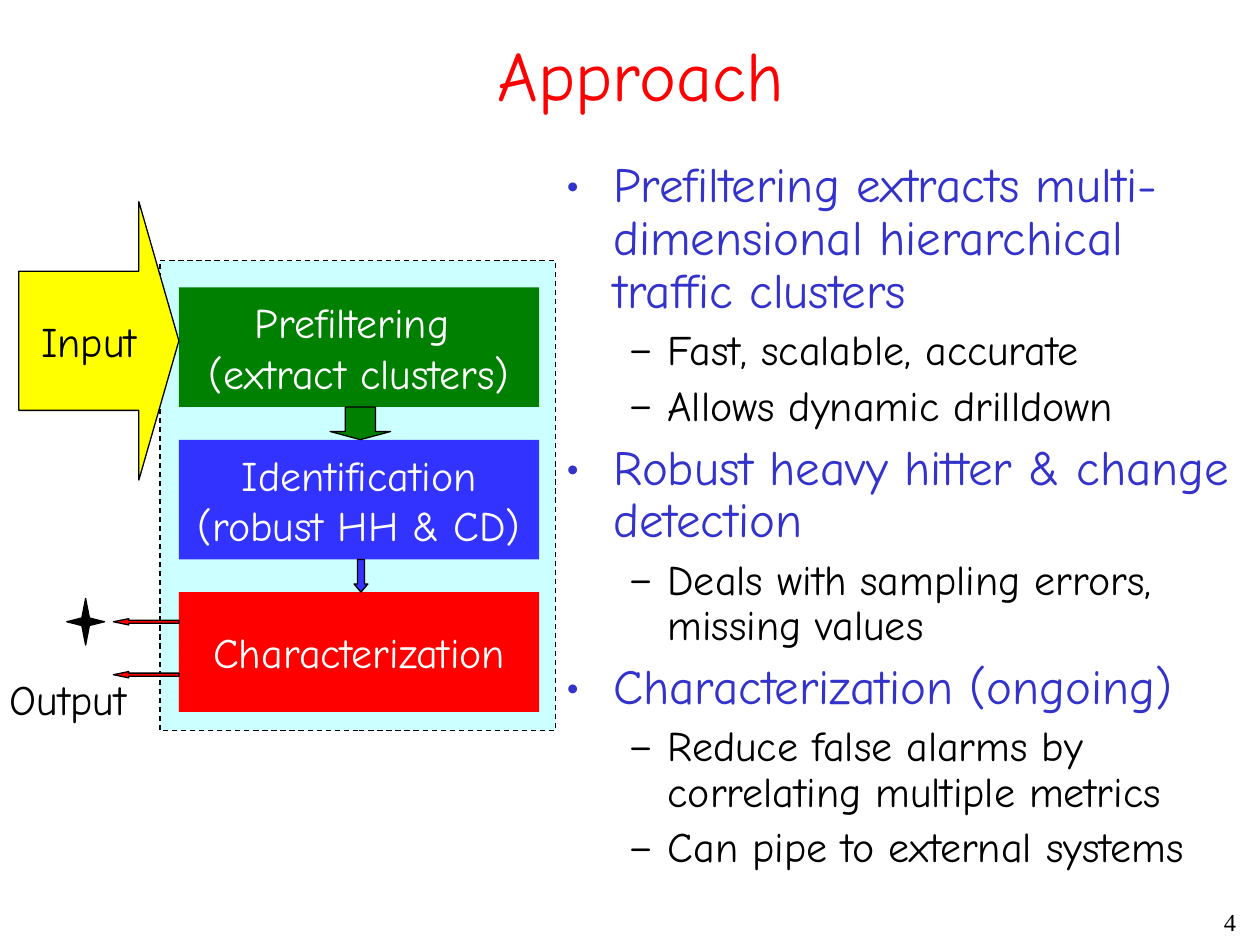
from dataclasses import dataclass
from typing import NamedTuple, Optional

from lxml.etree import SubElement
from pptx import Presentation
from pptx.dml.color import RGBColor
from pptx.enum.dml import MSO_LINE
from pptx.enum.shapes import MSO_SHAPE
from pptx.enum.text import MSO_ANCHOR, PP_ALIGN
from pptx.oxml.ns import qn
from pptx.util import Inches, Pt


@dataclass(frozen=True)
class Theme:
    font: str = "Comic Neue"
    number_font: str = "Times New Roman"
    title_size: int = 40
    point_size: int = 28
    text_size: int = 24
    number_size: int = 14
    outline: float = 0.75
    black: str = "000000"
    white: str = "FFFFFF"
    red: str = "FF0000"
    green: str = "008000"
    blue: str = "3333FF"
    yellow: str = "FFFF00"
    pale: str = "CCFFFF"
    point: str = "3333CC"


THEME = Theme()


class Area(NamedTuple):
    left: float
    top: float
    width: float
    height: float


class Stage(NamedTuple):
    label: str
    fill: str


class Level(NamedTuple):
    bullet: str
    margin: float
    hanging: float
    size: int
    color: str
    space_before: int


class Item(NamedTuple):
    text: str
    level: Level


class Arrow(NamedTuple):
    kind: MSO_SHAPE
    area: Area
    fill: str
    head: float
    label: str = ""


POINT = Level("•", 0.38, 0.38, THEME.point_size, THEME.point, 7)
DETAIL = Level("–", 0.81, 0.31, THEME.text_size, THEME.black, 6)
ITEMS = [
    Item("Prefiltering extracts multi-dimensional hierarchical traffic clusters", POINT),
    Item("Fast, scalable, accurate", DETAIL),
    Item("Allows dynamic drilldown", DETAIL),
    Item("Robust heavy hitter & change detection", POINT),
    Item("Deals with sampling errors, missing values", DETAIL),
    Item("Characterization (ongoing)", POINT),
    Item("Reduce false alarms by correlating multiple metrics", DETAIL),
    Item("Can pipe to external systems", DETAIL),
]

STAGES = [
    Stage("Prefiltering \v(extract clusters)", THEME.green),
    Stage("Identification\v(robust HH & CD)", THEME.blue),
    Stage("Characterization", THEME.red),
]
FIRST_STAGE = Area(1.42, 2.28, 2.86, 0.95)
STAGE_STEP = 1.21

ARROWS = [
    Arrow(MSO_SHAPE.DOWN_ARROW, Area(2.62, 3.23, 0.48, 0.26), THEME.green, 0.25),
    Arrow(MSO_SHAPE.DOWN_ARROW, Area(2.81, 4.44, 0.11, 0.26), THEME.blue, 0.59),
    Arrow(MSO_SHAPE.RIGHT_ARROW, Area(0.15, 1.6, 1.27, 2.21), THEME.yellow, 0.25, "Input"),
    *(
        Arrow(MSO_SHAPE.LEFT_ARROW, Area(0.9, top, 0.52, 0.05), THEME.red, 2.45)
        for top in (4.91, 5.33)
    ),
]


def write(paragraph, text: str, *, size: int = THEME.text_size,
          color: str = THEME.black, font: str = THEME.font,
          align: Optional[PP_ALIGN] = None) -> None:
    """Fill a paragraph with text in one format; a vertical tab breaks the line."""
    paragraph.text = text
    paragraph.alignment = align
    for span in paragraph.runs:
        span.font.name = font
        span.font.size = Pt(size)
        span.font.color.rgb = RGBColor.from_string(color)


def add_box(slide, area: Area, *, wrap: bool = True, anchor: MSO_ANCHOR = MSO_ANCHOR.TOP):
    """Add an empty text box and return its text frame."""
    frame = slide.shapes.add_textbox(*map(Inches, area)).text_frame
    frame.word_wrap = wrap
    frame.vertical_anchor = anchor
    return frame


def paint(shape, fill: str, outlined: bool = True) -> None:
    shape.shadow.inherit = False
    shape.fill.solid()
    shape.fill.fore_color.rgb = RGBColor.from_string(fill)
    if outlined:
        shape.line.color.rgb = RGBColor.from_string(THEME.black)
        shape.line.width = Pt(THEME.outline)
    else:
        shape.line.fill.background()


def add_block(slide, kind: MSO_SHAPE, area: Area, fill: str, *, outlined: bool = True,
              label: str = "", color: str = THEME.black):
    shape = slide.shapes.add_shape(kind, *map(Inches, area))
    paint(shape, fill, outlined)
    if label:
        frame = shape.text_frame
        frame.word_wrap = False
        frame.vertical_anchor = MSO_ANCHOR.MIDDLE
        write(frame.paragraphs[0], label, color=color, align=PP_ALIGN.CENTER)
    return shape


def add_arrow(slide, arrow: Arrow) -> None:
    shape = add_block(slide, arrow.kind, arrow.area, arrow.fill, label=arrow.label)
    shape.adjustments[0] = 0.5
    shape.adjustments[1] = arrow.head


def add_star(slide, area: Area, waist: float) -> None:
    """Draw a four-pointed star whose inner corners lie waist from its centre."""
    x, y = area.left + area.width / 2, area.top + area.height / 2
    reach_x, reach_y = area.width / 2, area.height / 2
    offsets = [(-reach_x, 0), (-waist, -waist), (0, -reach_y), (waist, -waist),
               (reach_x, 0), (waist, waist), (0, reach_y), (-waist, waist)]
    corners = [(Inches(x + dx), Inches(y + dy)) for dx, dy in offsets]
    builder = slide.shapes.build_freeform(*corners[0])
    builder.add_line_segments(corners[1:], close=True)
    paint(builder.convert_to_shape(), THEME.black)


def add_bullet(paragraph, level: Level) -> None:
    properties = paragraph._p.get_or_add_pPr()
    properties.set("marL", str(Inches(level.margin)))
    properties.set("indent", str(-Inches(level.hanging)))
    SubElement(properties, qn("a:buFont"), typeface=THEME.font)
    SubElement(properties, qn("a:buChar"), char=level.bullet)


def add_items(slide, area: Area, items: list[Item]) -> None:
    frame = add_box(slide, area)
    for index, (text, level) in enumerate(items):
        paragraph = frame.paragraphs[0] if index == 0 else frame.add_paragraph()
        add_bullet(paragraph, level)
        paragraph.level = int(level is DETAIL)
        paragraph.line_spacing = 0.9
        paragraph.space_before = Pt(level.space_before if index else 0)
        write(paragraph, text, size=level.size, color=level.color)


def add_diagram(slide) -> None:
    add_star(slide, Area(0.53, 4.75, 0.3, 0.37), 0.03)
    panel = add_block(slide, MSO_SHAPE.RECTANGLE, Area(1.27, 2.07, 3.14, 3.73), THEME.pale)
    panel.line.dash_style = MSO_LINE.DASH
    for index, stage in enumerate(STAGES):
        area = FIRST_STAGE._replace(top=FIRST_STAGE.top + index * STAGE_STEP)
        add_block(slide, MSO_SHAPE.RECTANGLE, area, stage.fill, outlined=False,
                  label=stage.label, color=THEME.white)
    for arrow in ARROWS:
        add_arrow(slide, arrow)
    output = add_box(slide, Area(-0.02, 5.3, 1.12, 0.5), wrap=False)
    write(output.paragraphs[0], "Output", align=PP_ALIGN.RIGHT)


def main() -> None:
    deck = Presentation()
    deck.slide_width, deck.slide_height = Inches(10), Inches(7.5)
    slide = deck.slides.add_slide(deck.slide_layouts[6])
    title = add_box(slide, Area(0.75, 0.17, 8.67, 0.83), anchor=MSO_ANCHOR.MIDDLE)
    write(title.paragraphs[0], "Approach", size=THEME.title_size, color=THEME.red,
          align=PP_ALIGN.CENTER)
    add_items(slide, Area(4.39, 1.22, 5.68, 5.89), ITEMS)
    add_diagram(slide)
    number = add_box(slide, Area(7.58, 7.15, 2.33, 0.52))
    write(number.paragraphs[0], "4", size=THEME.number_size, font=THEME.number_font,
          align=PP_ALIGN.RIGHT)
    deck.save("out.pptx")


if __name__ == "__main__":
    main()
